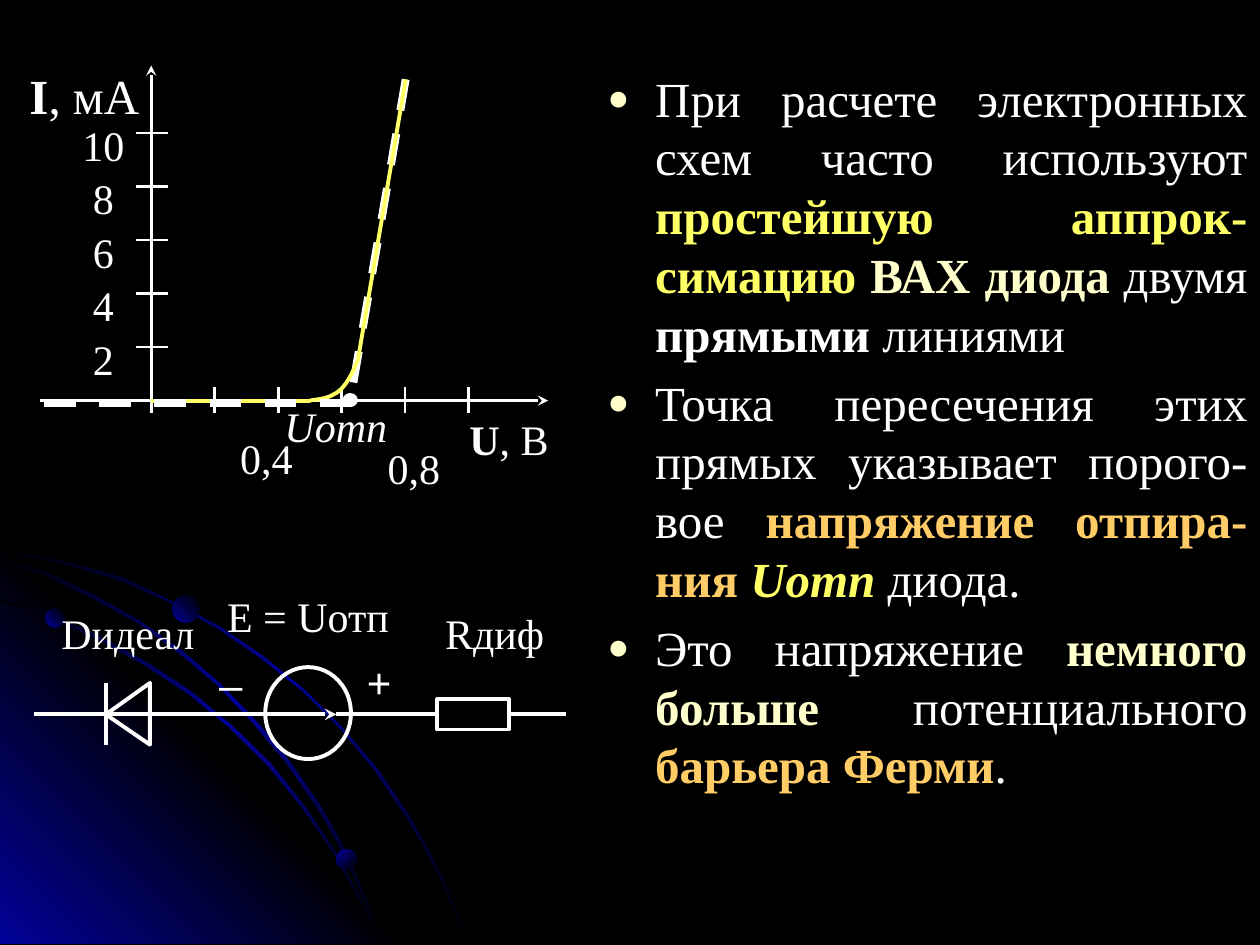
from dataclasses import dataclass, field
from typing import Any

import lxml.etree as et
import pptx
import pptx.dml.color
import pptx.enum.dml
import pptx.enum.shapes
import pptx.enum.text
import pptx.oxml.ns
import pptx.util

HUES = {"back": "000000", "text": "FFFFFF", "blue": "010199", "sun": "FFFF66",
        "cream": "FFFFCC", "gold": "FFCC66"}
SERIF, SANS = "Times New Roman", "Arial"
KIND = pptx.enum.shapes.MSO_SHAPE
ALIGN = pptx.enum.text.PP_ALIGN
qn = pptx.oxml.ns.qn


@dataclass
class Label:
    box: tuple[float, float, float, float]
    runs: list[tuple[str, dict]]
    face: str = SERIF
    size: int = 24
    pad: float = 0
    align: Any = ALIGN.CENTER


@dataclass
class Wire:
    start: tuple[float, float]
    end: tuple[float, float]
    hue: str = "text"
    width: float = 1.5
    extra: dict = field(default_factory=dict)


def inch(val: float) -> int:
    return pptx.util.Cm(val * 2.54)


def tone(hue: str) -> pptx.dml.color.RGBColor:
    return pptx.dml.color.RGBColor.from_string(HUES[hue])


def style(item: Any, form: dict) -> None:
    for name, val in form.items():
        setattr(item, name, val)


def write(para: Any, runs: list, face: str, size: int) -> None:
    for text, form in runs:
        run = para.add_run()
        run.text = text
        look = {"name": face, "size": pptx.util.Pt(size), **form}
        run.font.color.rgb = tone(look.pop("hue", "text"))
        style(run.font, look)


def stroke(line: Any, hue: str, width: float) -> None:
    line.color.rgb = tone(hue)
    line.width = pptx.util.Pt(width)


def paint(shape: Any, stops: list[str], angle: int) -> None:
    shape.shadow.inherit = False
    shape.line.fill.background()
    shape.fill.gradient()
    grad = shape.element.spPr.find(qn("a:gradFill"))
    for kid in list(grad):
        grad.remove(kid)
    row = et.SubElement(grad, qn("a:gsLst"))
    for num, hue in enumerate(stops):
        stop = et.SubElement(row, qn("a:gs"), pos=str(num * 100000 // (len(stops) - 1)))
        et.SubElement(stop, qn("a:srgbClr"), val=HUES[hue])
    et.SubElement(grad, qn("a:lin"), ang=str(angle * 60000), scaled="0")


def outline(shapes: Any, dots: list, close: bool = True) -> Any:
    spots = [(inch(x), inch(y)) for x, y in dots]
    pen = shapes.build_freeform(*spots[0], scale=1.0)
    pen.add_line_segments(spots[1:], close=close)
    shape = pen.convert_to_shape()
    shape.shadow.inherit = False
    return shape


def hollow(shape: Any, hue: str = "text", width: float = 2.25) -> Any:
    shape.shadow.inherit = False
    shape.fill.background()
    stroke(shape.line, hue, width)
    return shape


def form(shapes: Any, kind: Any, *box: float) -> Any:
    return shapes.add_shape(kind, *map(inch, box))


def draw(shapes: Any, wire: Wire) -> Any:
    ends = map(inch, wire.start + wire.end)
    link = shapes.add_connector(pptx.enum.shapes.MSO_CONNECTOR.STRAIGHT, *ends)
    stroke(link.line, wire.hue, wire.width)
    if wire.extra.get("dash"):
        link.line.dash_style = pptx.enum.dml.MSO_LINE.DASH
    if wire.extra.get("arrow"):
        et.SubElement(link.element.spPr.find(qn("a:ln")), qn("a:tailEnd"), type="stealth")
    et.SubElement(link.element.spPr, qn("a:effectLst"))
    return link


def label(shapes: Any, note: Label) -> None:
    frame = shapes.add_textbox(*map(inch, note.box)).text_frame
    side, top = inch(note.pad), inch(note.pad / 2)
    style(frame, {"word_wrap": True, "margin_left": side, "margin_right": side,
                  "margin_top": top, "margin_bottom": top})
    frame.paragraphs[0].alignment = note.align
    write(frame.paragraphs[0], note.runs, note.face, note.size)


def bend(a: tuple, b: tuple, c: tuple, d: tuple, steps: int = 6) -> list:
    """Points along a cubic curve, without its start."""
    marks = [num / steps for num in range(1, steps + 1)]
    return [tuple((1 - t) ** 3 * p + 3 * t * (1 - t) ** 2 * q + 3 * t * t * (1 - t) * r + t ** 3 * s
                  for p, q, r, s in zip(a, b, c, d)) for t in marks]


ARCS = [
    [(0.57, 4.47), (0.28, 4.41), (0, 4.35), (0, 4.38), (0.28, 4.43), (0.56, 4.49), (0.97, 4.61),
     (1.35, 4.78), (1.73, 4.99), (2.08, 5.23), (2.41, 5.49), (2.71, 5.79), (2.98, 6.12),
     (3.23, 6.49), (3.37, 6.73), (3.5, 6.98), (3.6, 7.23), (3.7, 7.49), (3.72, 7.49),
     (3.62, 7.23), (3.52, 6.98), (3.39, 6.73), (3.25, 6.48), (3, 6.11), (2.72, 5.78),
     (2.42, 5.48), (2.09, 5.21), (1.74, 4.97), (1.36, 4.77), (0.98, 4.59)],
    [(2.85, 7.14), (2.94, 7.32), (3.01, 7.49), (3.03, 7.49), (2.96, 7.3), (2.86, 7.12),
     (2.66, 6.76), (2.42, 6.4), (2.15, 6.06), (1.84, 5.76), (1.52, 5.49), (1.17, 5.26),
     (0.79, 5.05), (0.41, 4.88), (0, 4.75), (0, 4.77), (0.39, 4.9), (0.77, 5.07), (1.15, 5.28),
     (1.5, 5.51), (1.83, 5.78), (2.13, 6.08), (2.4, 6.41), (2.65, 6.77)],
    [(0, 4.42), (0, 4.44), (0.36, 4.57), (0.74, 4.75), (1.09, 4.94), (1.42, 5.18), (1.73, 5.44),
     (2.02, 5.75), (2.27, 6.05), (2.52, 6.41), (2.67, 6.67), (2.8, 6.94), (2.92, 7.22),
     (3.01, 7.49), (3.03, 7.49), (2.94, 7.2), (2.82, 6.93), (2.69, 6.65), (2.54, 6.39),
     (2.29, 6.03), (2.04, 5.73), (1.75, 5.43), (1.44, 5.16), (1.11, 4.93), (0.76, 4.73),
     (0.39, 4.55)],
]
BOLD, SLANT = {"bold": True}, {"italic": True}
GOLD, SUN, CREAM = ({"bold": True, "hue": hue} for hue in ("gold", "sun", "cream"))
POINTS = [
    [("При расчете электронных схем часто используют ", {}), ("простейшую аппрок-симацию ", SUN),
     ("ВАХ диода", CREAM), (" двумя ", {}), ("прямыми", BOLD), (" линиями", {})],
    [("Точка пересечения этих прямых указывает порого-вое ", {}), ("напряжение отпира-ния ", GOLD),
     ("Uотп", {**SUN, **SLANT}), (" диода.", {})],
    [("Это напряжение ", {}), ("немного больше", CREAM), (" потенциального ", {}),
     ("барьера Ферми", GOLD), (".", {})],
]


def decor(shapes: Any) -> None:
    glow = ["back", "blue", "back"]
    paint(outline(shapes, ARCS[0]), glow, 45)
    paint(outline(shapes, [(3.22, 7.49), (0, 7.49), (0, 4.27)]), ["blue", "back", "blue"], 315)
    for arc in ARCS[1:]:
        paint(outline(shapes, arc), glow, 45)
    for x, y, size, angle in [(0.36, 4.83, 0.15, 315), (2.67, 6.74, 0.16, 45), (1.37, 4.73, 0.21, 315)]:
        paint(form(shapes, KIND.OVAL, x, y, size, size), ["blue", "back"], angle)


def body(slide: Any) -> None:
    title = slide.shapes.title
    title.element.getparent().remove(title.element)
    box = slide.placeholders[1]
    style(box, dict(zip(("left", "top", "width", "height"), map(inch, (4.72, 0.44, 5.28, 6.26)))))
    frame = box.text_frame
    frame.margin_top = inch(0.1)
    for num, runs in enumerate(POINTS):
        para = frame.add_paragraph() if num else frame.paragraphs[0]
        props = para._p.get_or_add_pPr()
        style_in = inch(0.38)
        props.set("marL", str(style_in))
        props.set("indent", str(-style_in))
        shade = et.SubElement(props, qn("a:buClr"))
        et.SubElement(shade, qn("a:srgbClr"), val=HUES["cream"])
        et.SubElement(props, qn("a:buSzPct"), val="75000")
        et.SubElement(props, qn("a:buChar"), char="●")
        style(para, {"alignment": ALIGN.JUSTIFY, "line_spacing": 1.0,
                     "space_before": pptx.util.Pt(5.6 if num else 0)})
        write(para, runs, SERIF, 28)


def graph(shapes: Any) -> None:
    base, axis, knee, peak = 3.18, 1.2, (2.84, 2.86), (3.22, 0.63)
    dash, arrow = {"dash": True}, {"arrow": True}
    draw(shapes, Wire(peak, (2.78, base), width=4.5, extra=dash))
    # Axes with ticks and scale
    for num in range(1, 6):
        y, x = base - 0.425 * num, axis + 0.504 * num
        draw(shapes, Wire((1.08, y), (1.33, y)))
        draw(shapes, Wire((x, 3.07), (x, 3.28)))
        label(shapes, Label((0.57, y - 0.11, 0.5, 0.32), [(str(2 * num), {})]))
    draw(shapes, Wire((axis, 3.28), (axis, 0.52), extra=arrow))
    draw(shapes, Wire((0.32, base), (4.35, base), extra=arrow))
    for note in [
        Label((2.24, 3.18, 0.85, 0.32), [("Uотп", SLANT)]),
        Label((0.2, 0.52, 0.94, 0.43), [("I", BOLD), (", мА", {})], size=28),
        Label((1.85, 3.43, 0.53, 0.36), [("0,4", {})]),
        Label((3.03, 3.51, 0.51, 0.32), [("0,8", {})]),
        Label((3.6, 3.28, 0.88, 0.32), [("U", BOLD), (", В", {})]),
    ]:
        label(shapes, note)
    # Diode curve
    foot, mid = (2.46, base), (2.63, 3.14)
    curve = [foot] + bend(foot, (2.5, 3.17), (2.57, 3.17), mid) + bend(mid, (2.73, 3.1), (2.78, 3), knee)
    hollow(outline(shapes, curve, close=False), "sun")
    draw(shapes, Wire(knee, peak, "sun", 2.25))
    draw(shapes, Wire((axis, base), foot, "sun", 2.25))
    draw(shapes, Wire((0.35, 3.2), (2.82, 3.2), width=4.5, extra=dash))
    dot = hollow(form(shapes, KIND.OVAL, 2.73, 3.13, 0.1, 0.09), width=1.5)
    dot.fill.solid()
    dot.fill.fore_color.rgb = tone("text")


def circuit(shapes: Any) -> None:
    mid, top, low = 5.67, 5.42, 5.91
    hollow(form(shapes, KIND.OVAL, 2.08, 5.32, 0.73, 0.68)).rotation = 90
    load = hollow(form(shapes, KIND.RECTANGLE, 3.47, 5.55, 0.57, 0.24))
    hollow(outline(shapes, [(1.19, top), (1.19, low), (0.84, mid)]))
    draw(shapes, Wire((0.84, top), (0.84, low), width=2.25))
    draw(shapes, Wire((2.67, mid), (3.47, mid), width=2.25)).end_connect(load, 1)
    draw(shapes, Wire((4.04, mid), (4.49, mid), width=2.25)).begin_connect(load, 3)
    draw(shapes, Wire((0.27, mid), (2.67, mid), width=2.25, extra={"arrow": True}))
    for note in [
        Label((2.78, 5.21, 0.46, 0.49), [("+", {})], SANS),
        Label((1.64, 5.18, 0.46, 0.49), [("–", {})], SANS, pad=0.1, align=ALIGN.LEFT),
        Label((1.76, 4.69, 1.37, 0.49), [("Е = Uотп", {})]),
        Label((0.39, 4.82, 1.25, 0.49), [("Dидеал", {})]),
        Label((3.24, 4.82, 1.37, 0.49), [("Rдиф", {})]),
    ]:
        label(shapes, note)


def main() -> None:
    deck = pptx.Presentation()
    style(deck, {"slide_width": inch(10), "slide_height": inch(7.5)})
    slide = deck.slides.add_slide(deck.slide_layouts[1])
    slide.background.fill.solid()
    slide.background.fill.fore_color.rgb = tone("back")
    decor(slide.shapes)
    body(slide)
    graph(slide.shapes)
    circuit(slide.shapes)
    deck.save("out.pptx")


if __name__ == "__main__":
    main()
